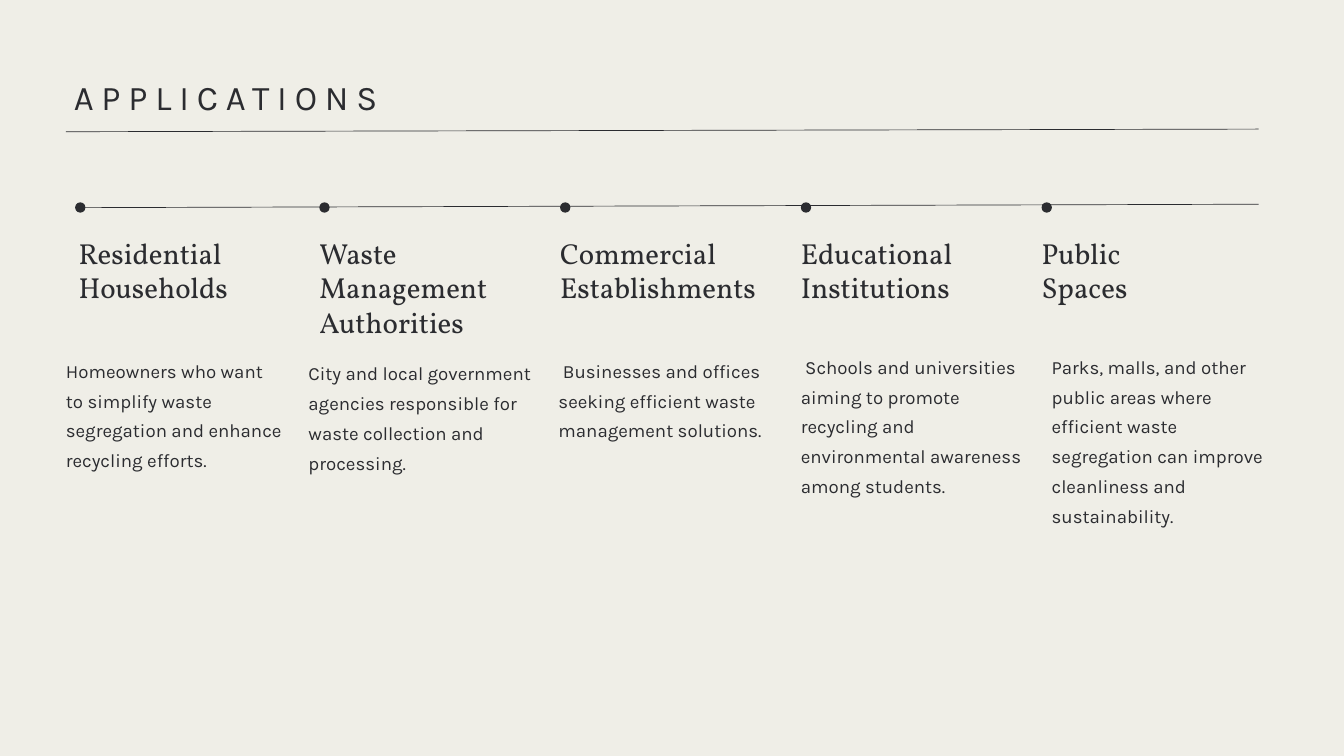
"""Build the applications slide: a five-stop timeline under a ruled title."""
from lxml.etree import SubElement
from pptx import Presentation
from pptx.dml.color import RGBColor
from pptx.enum.shapes import MSO_CONNECTOR, MSO_SHAPE
from pptx.enum.text import MSO_ANCHOR, MSO_AUTO_SIZE, PP_ALIGN
from pptx.oxml.ns import qn
from pptx.util import Cm, Pt

COLORS = {"background": "EFEEE7", "ink": "2B2C30"}
INK = RGBColor.from_string(COLORS["ink"])


def write_text(shape, text, *, box, font, size, line_spacing, tracking=None):
    shape.left, shape.top, shape.width, shape.height = [Cm(length) for length in box]
    frame = shape.text_frame
    frame.word_wrap = True
    frame.auto_size = MSO_AUTO_SIZE.NONE
    frame.vertical_anchor = MSO_ANCHOR.TOP
    frame.margin_left = frame.margin_top = frame.margin_right = frame.margin_bottom = 0
    paragraph = frame.paragraphs[0]
    paragraph.alignment = PP_ALIGN.LEFT
    paragraph.line_spacing = Pt(line_spacing)
    run = paragraph.add_run()
    run.text = text
    run.font.name = font
    run.font.size = Pt(size)
    run.font.color.rgb = INK
    if tracking:
        run._r.get_or_add_rPr().set("spc", str(round(tracking * 100)))


presentation = Presentation()
presentation.slide_width = Cm(50.8)
presentation.slide_height = Cm(28.58)
slide = presentation.slides.add_slide(presentation.slide_layouts[5])
slide.background.fill.solid()
slide.background.fill.fore_color.rgb = RGBColor.from_string(COLORS["background"])

write_text(slide.shapes.title, "APPLICATIONS", box=(2.79, 2.62, 45.09, 1.8),
           font="Karla", size=37.1, line_spacing=52, tracking=8.4)

title_rule = (2.49, 4.98, 47.57, 4.88)
timeline = (3.12, 7.85, 47.57, 7.72)
for ends in (title_rule, timeline):
    line = slide.shapes.add_connector(MSO_CONNECTOR.STRAIGHT, *[Cm(length) for length in ends])
    line.line.color.rgb = INK
    line.line.width = Pt(0.75)
    SubElement(line._element.spPr, qn("a:effectLst"))

FIRST_COLUMN, COLUMN_STEP = 2.97, 9.1
DOT_SIZE = 0.39
applications = [
    ("Residential Households", 7.75, 2.84, (2.49, 13.31, 8.2, 5.54),
     "Homeowners who want to simplify waste segregation and enhance recycling efforts."),
    ("Waste Management Authorities", 7.75, 12.07, (11.66, 13.41, 8.59, 5.54),
     "City and local government agencies responsible for waste collection and processing."),
    ("Commercial Establishments", 7.75, 21.17, (21.11, 13.31, 8.59, 3.33),
     " Businesses and offices seeking efficient waste management solutions."),
    ("Educational Institutions", 7.75, 30.27, (30.27, 13.16, 8.59, 5.54),
     " Schools and universities aiming to promote recycling and environmental awareness "
     "among students."),
    ("Public Spaces", 5.94, 39.37, (39.75, 13.16, 8.59, 6.65),
     "Parks, malls, and other public areas where efficient waste segregation can improve "
     "cleanliness and sustainability."),
]
for index, (heading, heading_width, dot_left, body_box, body) in enumerate(applications):
    dot = slide.shapes.add_shape(MSO_SHAPE.OVAL, Cm(dot_left), Cm(7.65),
                                 Cm(DOT_SIZE), Cm(DOT_SIZE))
    dot.shadow.inherit = False
    dot.fill.solid()
    dot.fill.fore_color.rgb = INK
    dot.line.fill.background()

    column_left = FIRST_COLUMN + index * COLUMN_STEP
    heading_height = 1.31 * len(heading.split())
    write_text(slide.shapes.add_textbox(0, 0, 0, 0), heading,
               box=(column_left, 8.89, heading_width, heading_height),
               font="Vollkorn", size=31, line_spacing=37.2)
    write_text(slide.shapes.add_textbox(0, 0, 0, 0), body, box=body_box,
               font="Karla", size=20, line_spacing=32)

presentation.save("out.pptx")
